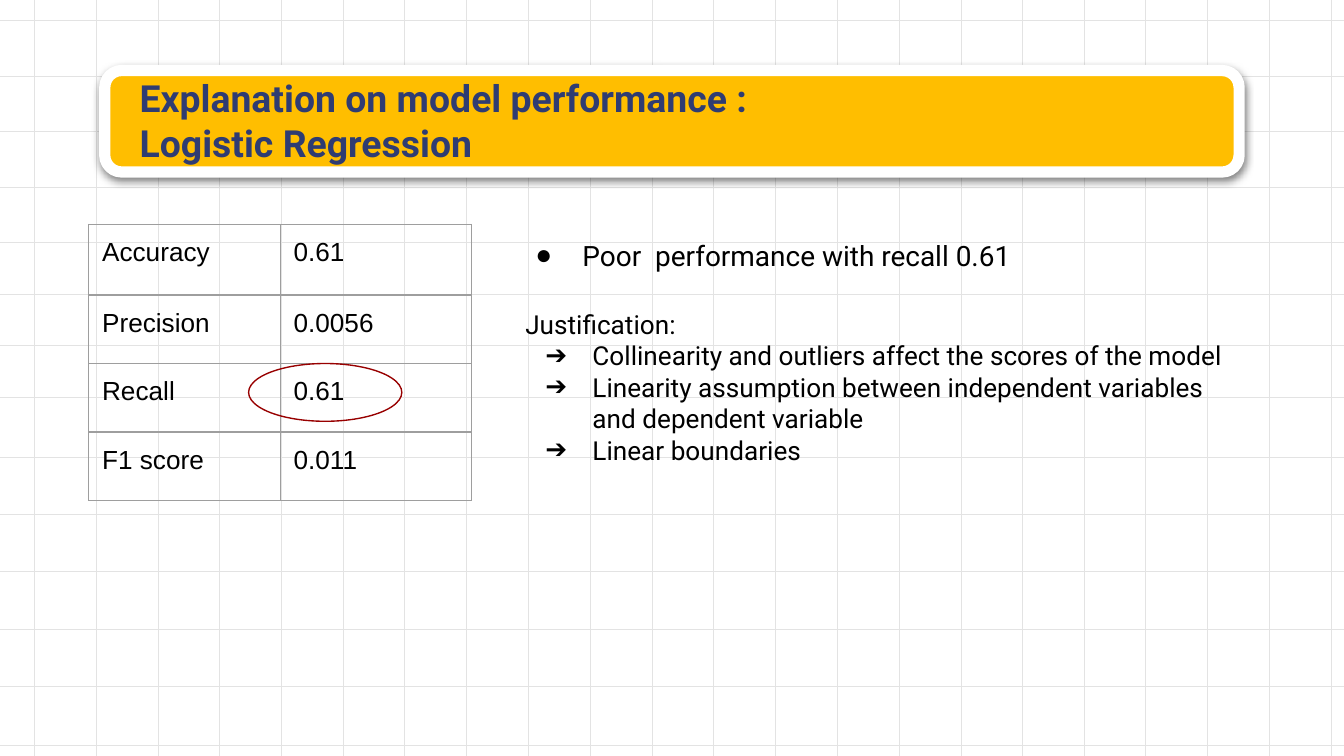
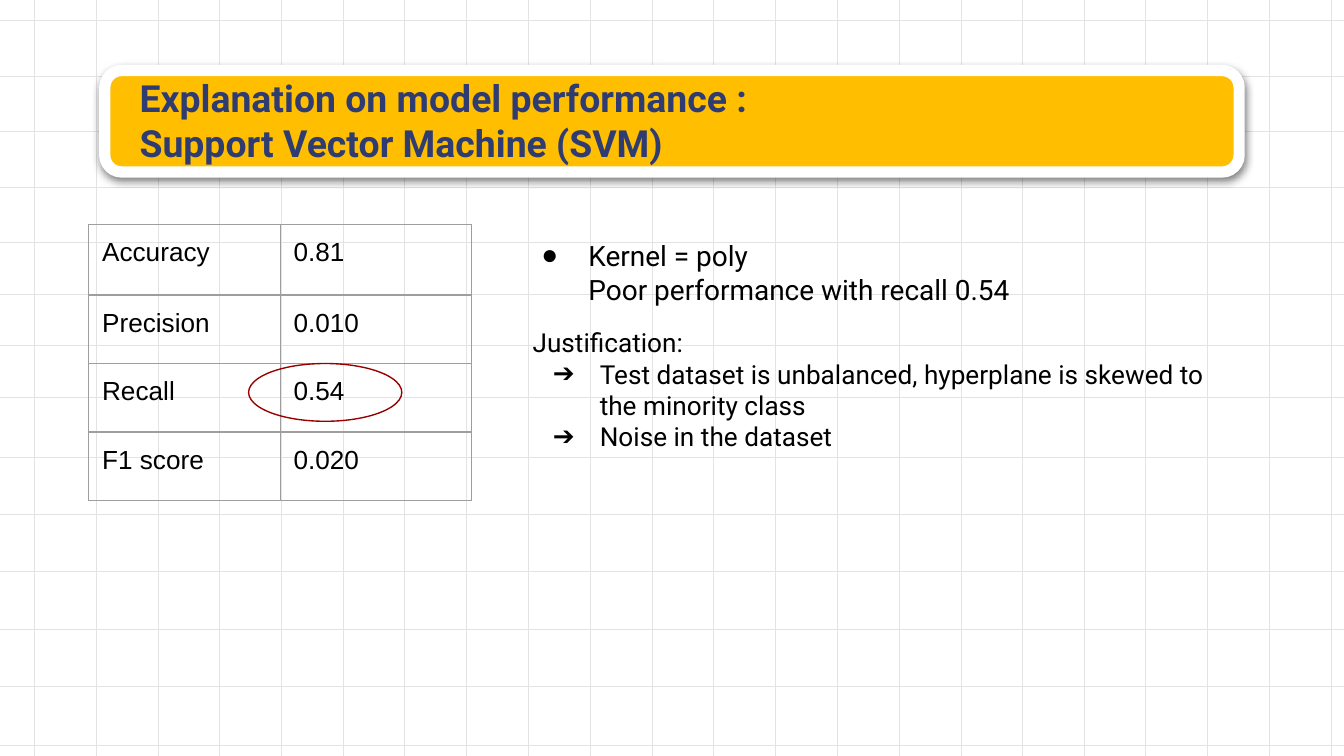
"""Build two slides explaining the performance of classification models."""
from dataclasses import dataclass
from typing import Any, NamedTuple

from lxml import etree
from pptx import Presentation, util as u
from pptx.dml.color import RGBColor
from pptx.enum import shapes, text
from pptx.oxml import ns

PX = 4572
WIDTH, HEIGHT = 2000, 1125
WHITE = RGBColor(0xFF, 0xFF, 0xFF)
BLACK = RGBColor(0x00, 0x00, 0x00)
GRID = RGBColor(0xE3, 0xE3, 0xE3)
BORDER = RGBColor(0x9E, 0x9E, 0x9E)
AMBER = RGBColor(0xFF, 0xBE, 0x00)
NAVY = RGBColor(0x2F, 0x3C, 0x72)
DARK_RED = RGBColor(0x98, 0x00, 0x00)

GRID_ROWS = (30, 114, 196, 279, 361, 438, 514, 592, 680, 766, 850, 936, 1022, 1109)
GRID_COLUMNS = [51 + round(1930 * i / 21) for i in range(22)]
METRICS = ("Accuracy", "Precision", "Recall", "F1 score")
COLUMN_WIDTH = 285
ROW_HEIGHTS = (105, 102, 102, 102)

TITLE = {"size": u.Pt(20), "name": "Roboto", "bold": True}
FINDING = {"size": u.Pt(15), "name": "Roboto"}
REASON = {"size": u.Pt(14), "name": "Roboto"}
CELL = {"size": u.Pt(14), "name": "Arial"}
INSETS = {f"margin_{side}": 20 * PX for side in ("left", "top", "right", "bottom")}
BULLET_FONTS = {"●": "Arial", "➔": "Roboto"}


class Box(NamedTuple):
    x: int
    y: int
    w: int
    h: int

    def emu(self) -> list[int]:
        return [v * PX for v in self]


class Para(NamedTuple):
    text: str
    bullet: str = ""
    margin: int = 0
    indent: int = 0


@dataclass(frozen=True)
class ModelSlide:
    model: str
    scores: tuple[str, ...]
    finding_box: Box
    findings: list[Para]
    reason_box: Box
    reasons: list[Para]


BANNER = Box(156, 105, 1688, 151)
TITLE_BOX = Box(188, 118, 1570, 122)
TABLE = Box(132, 334, 2 * COLUMN_WIDTH, sum(ROW_HEIGHTS))
RECALL_MARK = Box(370, 541, 228, 86)


def bulleted(bullet: str, *lines: str) -> list[Para]:
    return [Para(line, bullet, 100, -70) for line in lines]


MODELS = [
    ModelSlide(
        "Logistic Regression",
        ("0.61", "0.0056", "0.61", "0.011"),
        Box(747, 335, 1058, 124),
        bulleted("●", "Poor  performance with recall 0.61"),
        Box(762, 439, 1082, 370),
        bulleted(
            "➔",
            "Collinearity and outliers affect the scores of the model",
            "Linearity assumption between independent variables and dependent variable",
            "Linear boundaries",
        ),
    ),
    ModelSlide(
        "Support Vector Machine (SVM)",
        ("0.81", "0.010", "0.54", "0.020"),
        Box(756, 335, 1284, 176),
        bulleted("●", "Kernel = poly")
        + [Para("Poor performance with recall 0.54", indent=100)],
        Box(773, 466, 1072, 324),
        bulleted(
            "➔",
            "Test dataset is unbalanced, hyperplane is skewed to the minority class",
            "Noise in the dataset",
        ),
    ),
]


def apply(target: Any, values: dict[str, Any]) -> None:
    for name, value in values.items():
        setattr(target, name, value)


def sub(parent: Any, tag: str, **attrs: Any) -> Any:
    return etree.SubElement(parent, ns.qn(tag), {k: str(v) for k, v in attrs.items()})


def add_para(tf: Any, para: Para, font: dict[str, Any], color: RGBColor, first: bool) -> None:
    p = tf.paragraphs[0] if first else tf.add_paragraph()
    r = p.add_run()
    r.text = para.text
    apply(r.font, font)
    r.font.color.rgb = color
    pPr = p._p.get_or_add_pPr()
    pPr.set("marL", str(para.margin * PX))
    pPr.set("indent", str(para.indent * PX))
    if para.bullet:
        sub(sub(pPr, "a:buClr"), "a:srgbClr", val=BLACK)
        sub(pPr, "a:buFont", typeface=BULLET_FONTS[para.bullet])
        sub(pPr, "a:buChar", char=para.bullet)
    else:
        sub(pPr, "a:buNone")


def add_text(s: Any, box: Box, paras: list[Para], font: dict[str, Any],
             color: RGBColor = BLACK, **frame: Any) -> None:
    tf = s.shapes.add_textbox(*box.emu()).text_frame
    apply(tf, INSETS | {"word_wrap": True} | frame)
    for i, para in enumerate(paras):
        add_para(tf, para, font, color, i == 0)


def add_grid(s: Any) -> None:
    ends = [(0, y, WIDTH, y) for y in GRID_ROWS]
    ends += [(x, 0, x, HEIGHT) for x in GRID_COLUMNS]
    for points in ends:
        line = s.shapes.add_connector(shapes.MSO_CONNECTOR.STRAIGHT, *(v * PX for v in points))
        line.line.color.rgb = GRID
        line.line.width = u.Pt(0.35)
        sub(line._element.spPr, "a:effectLst")


def add_shape(s: Any, kind: Any, box: Box, fill: RGBColor | None,
              line: RGBColor, width: float) -> Any:
    sp = s.shapes.add_shape(kind, *box.emu())
    sp.shadow.inherit = False
    if fill is None:
        sp.fill.background()
    else:
        sp.fill.solid()
        sp.fill.fore_color.rgb = fill
    sp.line.color.rgb = line
    sp.line.width = u.Pt(width)
    return sp


def add_banner(s: Any, model: str) -> None:
    sp = add_shape(s, shapes.MSO_SHAPE.ROUNDED_RECTANGLE, BANNER, AMBER, WHITE, 6)
    effects = sp._element.spPr.find(ns.qn("a:effectLst"))
    shadow = sub(effects, "a:outerShdw", blurRad=u.Pt(4.5), dist=u.Pt(1.5),
                 dir=90 * 60000, algn="bl", rotWithShape=0)
    sub(sub(shadow, "a:srgbClr", val=BLACK), "a:alpha", val=50000)
    add_text(s, TITLE_BOX, [Para("Explanation on model performance :"), Para(model)],
             TITLE, NAVY, vertical_anchor=text.MSO_ANCHOR.MIDDLE)


def add_scores(s: Any, scores: tuple[str, ...]) -> None:
    table = s.shapes.add_table(len(METRICS), 2, *TABLE.emu()).table
    apply(table, {"first_row": False, "horz_banding": False})
    for column in table.columns:
        column.width = COLUMN_WIDTH * PX
    for row, height, values in zip(table.rows, ROW_HEIGHTS, zip(METRICS, scores)):
        row.height = height * PX
        for cell, value in zip(row.cells, values):
            apply(cell, INSETS)
            add_para(cell.text_frame, Para(value), CELL, BLACK, True)
            tcPr = cell._tc.get_or_add_tcPr()
            for side in "LRTB":
                ln = sub(tcPr, f"a:ln{side}", w=u.Pt(0.75))
                sub(sub(ln, "a:solidFill"), "a:srgbClr", val=BORDER)
            cell.fill.background()


def add_model(prs: Any, m: ModelSlide) -> None:
    s = prs.slides.add_slide(prs.slide_layouts[6])
    s.background.fill.solid()
    s.background.fill.fore_color.rgb = WHITE
    add_grid(s)
    add_banner(s, m.model)
    add_scores(s, m.scores)
    grow = {"auto_size": text.MSO_AUTO_SIZE.SHAPE_TO_FIT_TEXT}
    add_text(s, m.finding_box, m.findings, FINDING, **grow)
    add_text(s, m.reason_box, [Para("Justification:")] + m.reasons, REASON, **grow)
    add_shape(s, shapes.MSO_SHAPE.OVAL, RECALL_MARK, None, DARK_RED, 0.75)


def main() -> None:
    prs = Presentation()
    apply(prs, {"slide_width": WIDTH * PX, "slide_height": HEIGHT * PX})
    for m in MODELS:
        add_model(prs, m)
    prs.save("out.pptx")


if __name__ == "__main__":
    main()
